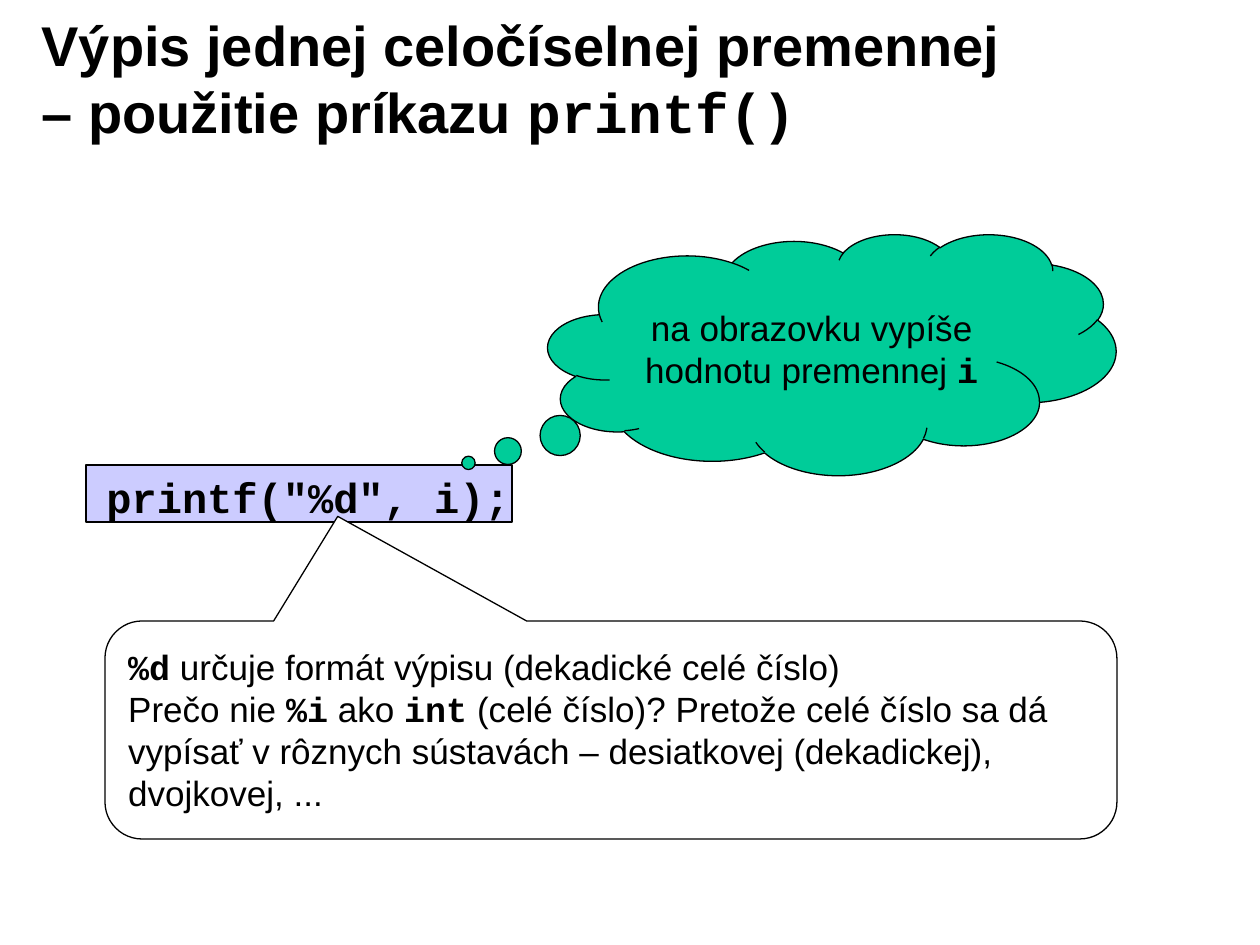
from pptx import Presentation
from pptx.dml.color import RGBColor
from pptx.enum.shapes import MSO_SHAPE
from pptx.enum.text import MSO_ANCHOR, MSO_AUTO_SIZE, PP_ALIGN
from pptx.util import Emu, Pt

PX = 914400 // 126  # EMU in one px


def color(hex_string):
    return RGBColor.from_string(hex_string)


def write(text_frame, paragraphs, size, align, anchor, all_bold=False):
    """Each paragraph is a list of pieces, prose and code by turns: (text, is_code)."""
    text_frame.word_wrap = True
    text_frame.auto_size = MSO_AUTO_SIZE.NONE
    text_frame.vertical_anchor = anchor
    text_frame.text = "\n".join("" for _ in paragraphs)
    for paragraph, pieces in zip(text_frame.paragraphs, paragraphs):
        paragraph.alignment = align
        for text, is_code in pieces:
            run = paragraph.add_run()
            run.text = text
            run.font.name = "Courier New" if is_code else "Arial"
            run.font.size = Pt(size)
            run.font.bold = is_code or all_bold
            run.font.color.rgb = color("000000")


presentation = Presentation()
presentation.slide_width = Emu(1260 * PX)
presentation.slide_height = Emu(945 * PX)
slide = presentation.slides.add_slide(presentation.slide_layouts[5])

# Title
title = slide.shapes.title
title.left, title.top, title.width, title.height = [Emu(n * PX) for n in (29, 19, 1012, 117)]
write(title.text_frame,
      [[("Výpis jednej celočíselnej premennej – použitie príkazu ", False), ("printf()", True)]],
      32, PP_ALIGN.LEFT, MSO_ANCHOR.MIDDLE, all_bold=True)

# Code line: coloured bar with its text on top
bar_box = (86, 465, 426, 57)
code_box = slide.shapes.add_textbox(*[Emu(n * PX) for n in (94, 465, 447, 62)])
write(code_box.text_frame, [[('printf("%d", i);', True)]], 24, PP_ALIGN.LEFT, MSO_ANCHOR.TOP)

# Bar and callouts: kind, box, fill, adjustments, paragraphs, alignment
cloud_text = [[("na obrazovku vypíše hodnotu premennej ", False), ("i", True)]]
format_text = [
    [("%d", True), (" určuje formát výpisu (dekadické celé číslo)", False)],
    [("Prečo nie ", False), ("%i", True), (" ako ", False), ("int", True),
     (" (celé číslo)? Pretože celé číslo sa dá vypísať v rôznych sústavách"
      " – desiatkovej (dekadickej), dvojkovej, ...", False)],
]
shapes = [
    (MSO_SHAPE.RECTANGLE, bar_box, "CCCCFF", [], [], None),
    (MSO_SHAPE.CLOUD_CALLOUT, (548, 234, 568, 241), "00CC99",
     [-0.64, 0.45], cloud_text, PP_ALIGN.CENTER),
    (MSO_SHAPE.ROUNDED_RECTANGULAR_CALLOUT, (105, 621, 1012, 218), "FFFFFF",
     [-0.27, -0.98, 0.17], format_text, PP_ALIGN.LEFT),
]
for kind, box, fill, adjustments, paragraphs, align in shapes:
    shape = slide.shapes.add_shape(kind, *[Emu(n * PX) for n in box])
    shape.shadow.inherit = False
    shape.fill.solid()
    shape.fill.fore_color.rgb = color(fill)
    shape.line.color.rgb = color("000000")
    shape.line.width = Pt(0.75)
    for index, value in enumerate(adjustments):
        shape.adjustments[index] = value
    if paragraphs:
        write(shape.text_frame, paragraphs, 20, align, MSO_ANCHOR.MIDDLE)
    else:
        # The bar lies behind the code text
        code_box.element.addprevious(shape.element)

presentation.save("out.pptx")
